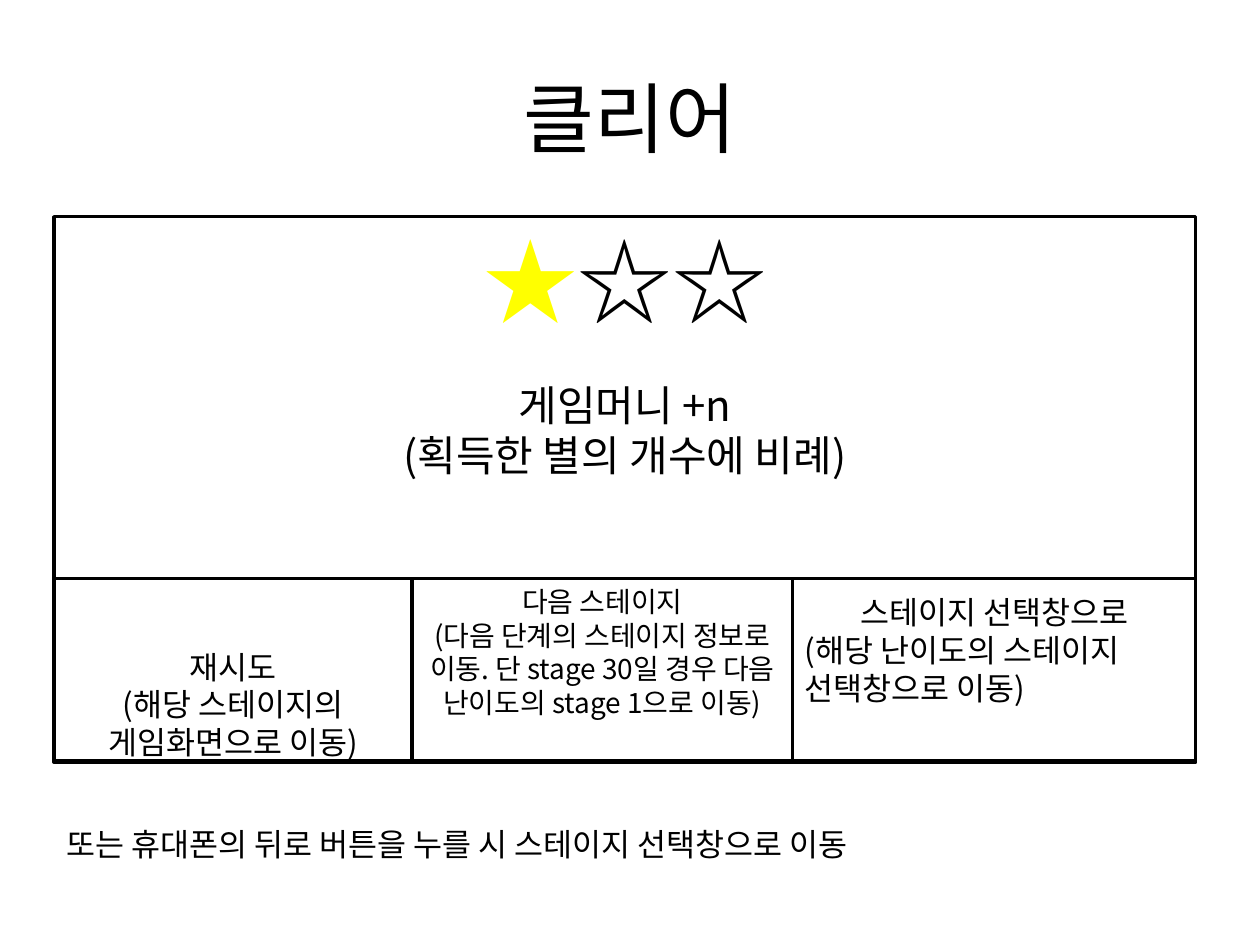
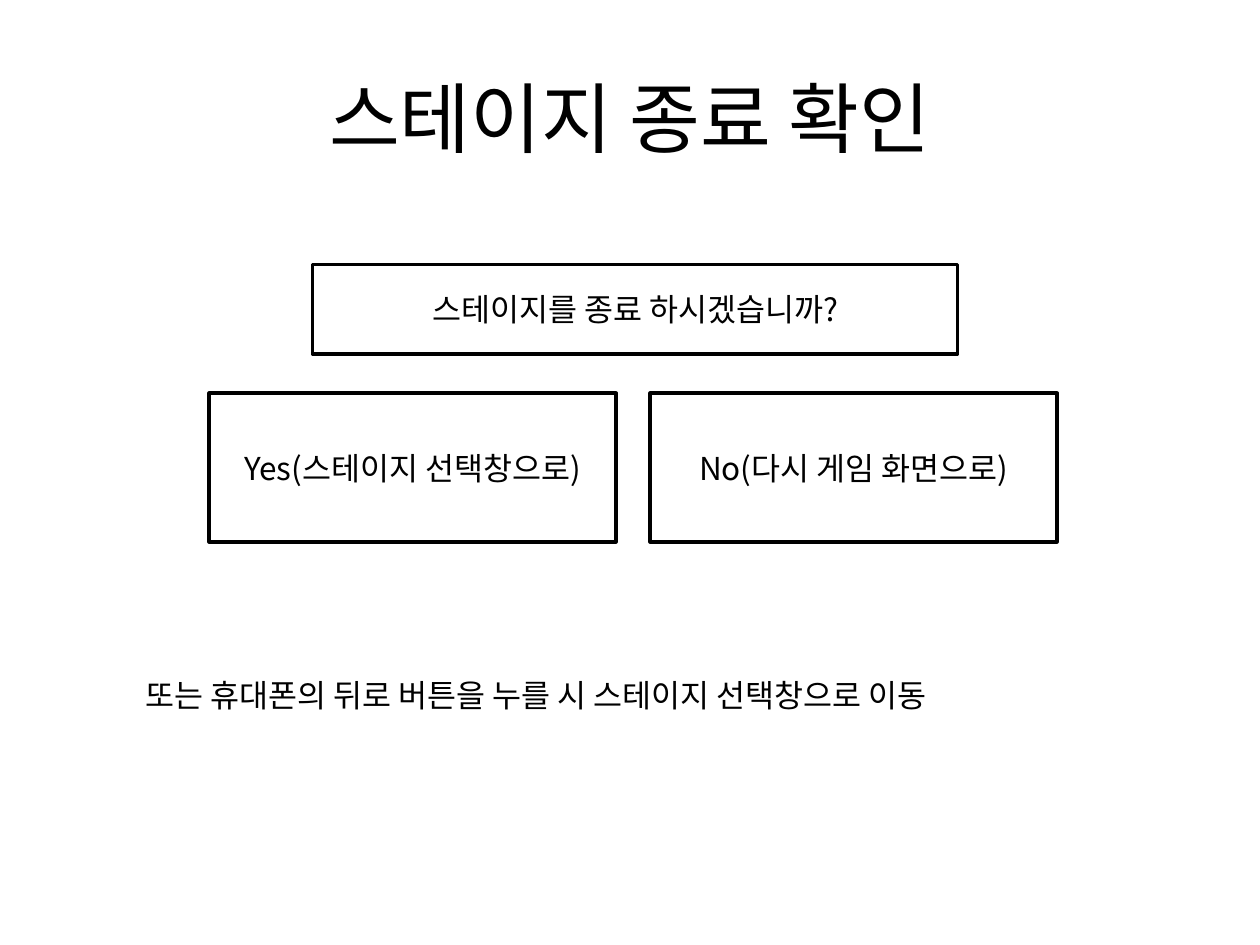
from pptx import Presentation
from pptx.dml.color import RGBColor
from pptx.enum.shapes import MSO_SHAPE
from pptx.enum.text import MSO_ANCHOR, PP_ALIGN
from pptx.oxml.ns import qn
from pptx.util import Inches, Pt

FONT = "Noto Sans CJK KR"
BLACK, WHITE, YELLOW = "000000", "FFFFFF", "FFFF00"
LEFT, CENTER = PP_ALIGN.LEFT, PP_ALIGN.CENTER
TITLE_BOX = (0.5, 0.3, 9, 1.25)
BACK_NOTE = "또는 휴대폰의 뒤로 버튼을 누를 시 스테이지 선택창으로 이동"


def rgb(color):
    return RGBColor.from_string(color)


def write(tf, *paragraphs, size=18, aligns=None, anchor=MSO_ANCHOR.TOP, before=None):
    """Fill a frame; a paragraph is a string or a list of (text, colour) runs."""
    tf.word_wrap = True
    tf.vertical_anchor = anchor
    for i, runs in enumerate(paragraphs):
        p = tf.paragraphs[0] if i == 0 else tf.add_paragraph()
        p.alignment = aligns[i] if aligns else CENTER
        if before is not None:
            p.space_before = Pt(before)
        for text, color in [(runs, BLACK)] if isinstance(runs, str) else runs:
            r = p.add_run()
            r.text = text
            r.font.size = Pt(size)
            r.font.name = FONT
            r.font.color.rgb = rgb(color)
            ea = r.font._element.makeelement(qn("a:ea"), {"typeface": FONT})
            r.font._element.find(qn("a:latin")).addnext(ea)


def add_text(s, box, *paragraphs, **style):
    tb = s.shapes.add_textbox(*map(Inches, box))
    write(tb.text_frame, *paragraphs, **style)


def add_panel(s, box, *paragraphs, **style):
    sp = s.shapes.add_shape(MSO_SHAPE.RECTANGLE, *map(Inches, box))
    sp.shadow.inherit = False
    sp.fill.solid()
    sp.fill.fore_color.rgb = rgb(WHITE)
    sp.line.color.rgb = rgb(BLACK)
    sp.line.width = Pt(2)
    if paragraphs:
        write(sp.text_frame, *paragraphs, anchor=MSO_ANCHOR.MIDDLE, **style)


def add_page(prs, title):
    s = prs.slides.add_slide(prs.slide_layouts[6])
    add_text(s, TITLE_BOX, title, size=44, anchor=MSO_ANCHOR.MIDDLE)
    return s


def add_back_note(s, x, y):
    add_text(s, (x, y, 8.74, 0.4), BACK_NOTE, aligns=[LEFT])


def add_result(s, box):
    """Stars and reward inside the upper part of the result window."""
    x, y, w, h = box
    add_panel(s, box)
    add_text(s, (x, y, w, 1.31), [("★", YELLOW), ("☆☆", BLACK)], size=54, before=18)
    add_text(s, (x, y + 1.24, w, 0.91), "게임머니 +n", "(획득한 별의 개수에 비례)", size=24)


def add_choices(s, box):
    """Row of three choices along the bottom of the result window."""
    x, y, w, h = box
    choices = [  # width, text offset, size, second alignment, name, explanation
        (2.84, 0.5, 18, CENTER, "재시도", "(해당 스테이지의 게임화면으로 이동)"),
        (3.02, 0, 16, CENTER, "다음 스테이지",
         "(다음 단계의 스테이지 정보로 이동. 단 stage 30일 경우 다음 난이도의 stage 1으로 이동)"),
        (w - 5.86, 0.07, 18, LEFT, "스테이지 선택창으로", "(해당 난이도의 스테이지 선택창으로 이동)"),
    ]
    for width, drop, size, align, name, detail in choices:
        add_panel(s, (x, y, width, h))
        add_text(s, (x, y + drop, width, 1.31), name, detail, size=size, aligns=[CENTER, align])
        x += width


def add_dialog(s, box):
    """Question with two equal answers below it."""
    x, y, w, h = box
    gap, answer_w, answer_h = 0.27, (w - 0.27) / 2, 1.18
    add_panel(s, (x + 0.82, y, 5.12, 0.71), "스테이지를 종료 하시겠습니까?")
    for i, answer in enumerate(["Yes(스테이지 선택창으로)", "No(다시 게임 화면으로)"]):
        add_panel(s, (x + i * (answer_w + gap), y + h - answer_h, answer_w, answer_h), answer)


def main():
    prs = Presentation()
    prs.slide_width, prs.slide_height = Inches(10), Inches(7.5)

    # Stage cleared
    s = add_page(prs, "클리어")
    add_result(s, (0.43, 1.72, 9.06, 4.33))
    add_choices(s, (0.43, 4.59, 9.06, 1.45))
    add_back_note(s, 0.43, 6.5)

    # Confirm leaving the stage
    s = add_page(prs, "스테이지 종료 확인")
    add_dialog(s, (1.66, 2.1, 6.73, 2.2))
    add_back_note(s, 1.06, 5.32)

    prs.save("out.pptx")


if __name__ == "__main__":
    main()
